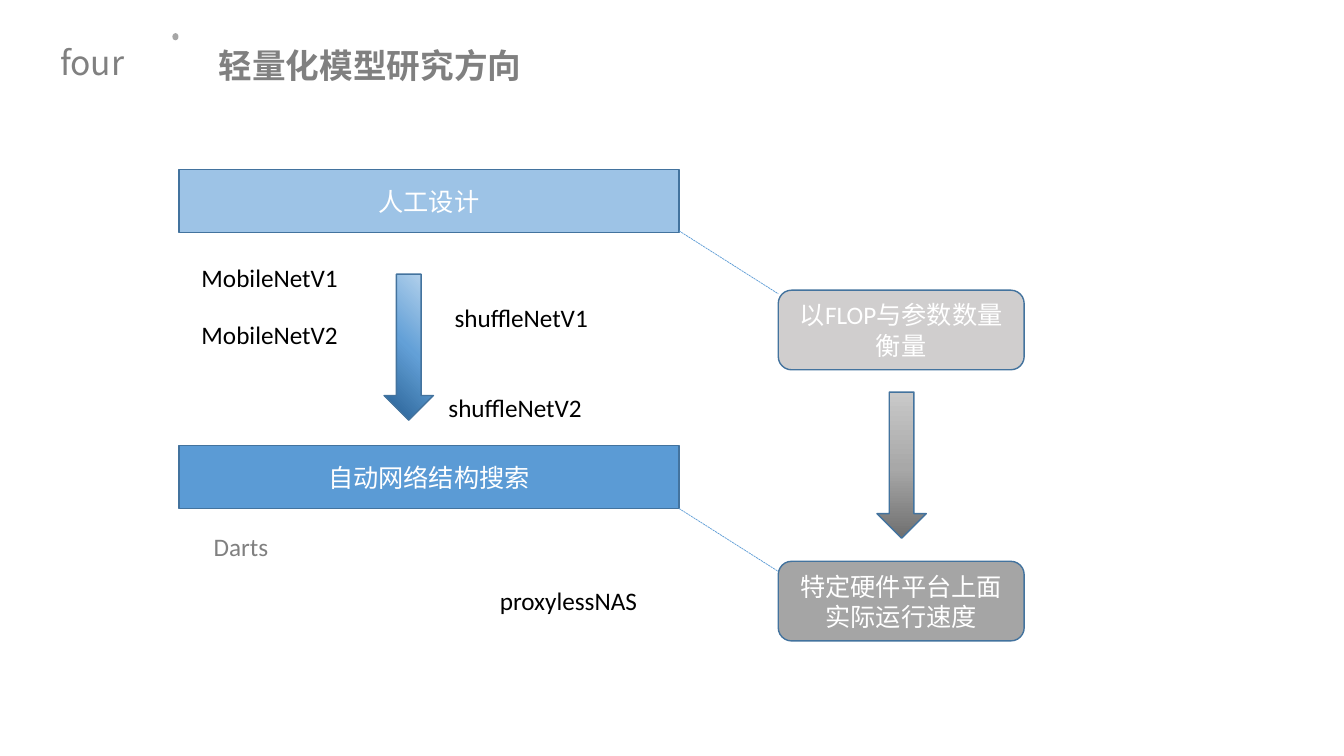
import dataclasses

import lxml.etree
import pptx
import pptx.dml.color
import pptx.enum.dml
import pptx.enum.shapes
import pptx.enum.text
import pptx.oxml
import pptx.oxml.ns
import pptx.util

COLUMNS, ROWS = 64, 36
SHAPE = pptx.enum.shapes.MSO_SHAPE
ALIGN = pptx.enum.text.PP_ALIGN
ANCHOR = pptx.enum.text.MSO_ANCHOR
AUTO_SIZE = pptx.enum.text.MSO_AUTO_SIZE


@dataclasses.dataclass(frozen=True)
class Theme:
    latin: str = "Calibri"
    east_asian: str = "Noto Sans CJK SC"
    heading_size: int = 24
    body_size: int = 18
    muted: str = "808080"
    text: str = "000000"
    inverse: str = "FFFFFF"
    dot: str = "A6A6A6"
    outline: str = "43739E"
    link: str = "5B9BD5"
    manual: str = "9DC3E6"
    automatic: str = "5B9BD5"
    count: str = "D0CECE"
    speed: str = "A5A5A5"
    blue_stops: tuple = ((0, "BDD7EE"), (50, "63A0D7"), (100, "255E91"))
    grey_stops: tuple = ((0, "6F6F6F"), (48, "A8A8A8"), (100, "C9C9C9"))


THEME = Theme()
FROM_TOP_RIGHT = '<a:path path="circle"><a:fillToRect l="100000" b="100000"/></a:path>'
FROM_BOTTOM = '<a:lin ang="16200000" scaled="0"/>'


@dataclasses.dataclass(frozen=True)
class Box:
    """A rectangle counted in columns and rows of the slide grid."""
    left: float
    top: float
    width: float
    height: float

    def inner(self, left, top, width, height):
        return Box(self.left + left, self.top + top, width, height)

    def lengths(self):
        column = pptx.util.Inches(13.33) / COLUMNS
        row = pptx.util.Inches(7.5) / ROWS
        return [round(value) for value in (self.left * column, self.top * row,
                                           self.width * column, self.height * row)]


def rgb(color):
    return pptx.dml.color.RGBColor.from_string(color)


def add_run(paragraph, text, color, size=THEME.body_size, font=THEME.latin, bold=False):
    run = paragraph.add_run()
    run.text = text
    run.font.name, run.font.size, run.font.bold = font, pptx.util.Pt(size), bold
    run.font.color.rgb = rgb(color)
    east_asian = lxml.etree.SubElement(run.font._element, pptx.oxml.ns.qn("a:ea"))
    east_asian.set("typeface", THEME.east_asian)


def add_label(slide, box, text, color=THEME.text, wrap=True, align=ALIGN.LEFT, **style):
    shape = slide.shapes.add_textbox(*box.lengths())
    frame = shape.text_frame
    frame.word_wrap = wrap
    frame.auto_size = AUTO_SIZE.SHAPE_TO_FIT_TEXT
    frame.paragraphs[0].alignment = align
    add_run(frame.paragraphs[0], text, color, **style)
    return shape


def add_block(slide, kind, box, fill, lines=()):
    """Outlined shape with one centred paragraph for each line."""
    shape = slide.shapes.add_shape(kind, *box.lengths())
    shape.shadow.inherit = False
    shape.fill.solid()
    shape.fill.fore_color.rgb = rgb(fill)
    shape.line.color.rgb = rgb(THEME.outline)
    shape.line.width = pptx.util.Pt(1)
    frame = shape.text_frame
    frame.word_wrap = True
    frame.vertical_anchor = ANCHOR.MIDDLE
    for index, line in enumerate(lines):
        paragraph = frame.add_paragraph() if index else frame.paragraphs[0]
        paragraph.alignment = ALIGN.CENTER
        add_run(paragraph, line, THEME.inverse)
    return shape


def add_gradient_arrow(slide, box, stops, direction):
    shape = add_block(slide, SHAPE.DOWN_ARROW, box, stops[1][1])
    stop_xml = "".join(f'<a:gs pos="{position * 1000}"><a:srgbClr val="{color}"/></a:gs>'
                       for position, color in stops)
    gradient = pptx.oxml.parse_xml(
        f'<a:gradFill {pptx.oxml.ns.nsdecls("a")} rotWithShape="1">'
        f"<a:gsLst>{stop_xml}</a:gsLst>{direction}</a:gradFill>")
    properties = shape._element.spPr
    properties.replace(properties.find(pptx.oxml.ns.qn("a:solidFill")), gradient)


def add_header(slide, box):
    dot = slide.shapes.add_shape(SHAPE.OVAL, *box.inner(8.21, 1.58, 0.29, 0.34).lengths())
    dot.shadow.inherit = False
    dot.fill.solid()
    dot.fill.fore_color.rgb = rgb(THEME.dot)
    dot.line.fill.background()
    heading = dict(color=THEME.muted, size=THEME.heading_size, font=THEME.east_asian)
    add_label(slide, box.inner(2.3, 1.78, 4.18, 2.4), "four",
              wrap=False, align=ALIGN.CENTER, **heading)
    title = add_label(slide, box.inner(9.12, 1.58, 23.18, 3.26),
                      "轻量化模型研究方向", bold=True, **heading)
    frame = title.text_frame
    frame.auto_size = AUTO_SIZE.NONE
    frame.vertical_anchor = ANCHOR.MIDDLE
    frame.margin_left, frame.margin_right = pptx.util.Inches(0.27), pptx.util.Inches(0.3)
    frame.margin_top = frame.margin_bottom = pptx.util.Inches(0.17)
    frame.paragraphs[0].line_spacing = 0.9


def add_methods(slide, box):
    """Two stages of network design with their example models."""
    stages = (("人工设计", THEME.manual), ("自动网络结构搜索", THEME.automatic))
    for index, (name, fill) in enumerate(stages):
        add_block(slide, SHAPE.RECTANGLE,
                  box.inner(0, 13.15 * index, box.width, 3.02), fill, [name])
    add_gradient_arrow(slide, box.inner(9.77, 4.99, 2.35, 6.96),
                       THEME.blue_stops, FROM_TOP_RIGHT)
    models = (
        ("MobileNetV1", 0.6, 4.18, 9.12, THEME.text, True),
        ("MobileNetV2", 0.6, 6.91, 9.12, THEME.text, True),
        ("shuffleNetV1", 12.65, 6.1, 9.12, THEME.text, True),
        ("shuffleNetV2", 12.36, 10.37, 9.12, THEME.text, True),
        ("Darts", 1.18, 16.99, 3.6, THEME.muted, False),
        ("proxylessNAS", 14.81, 19.58, 7.54, THEME.text, False),
    )
    for name, left, top, width, color, wrap in models:
        add_label(slide, box.inner(left, top, width, 1.92), name, color, wrap)


def add_criteria(slide, box):
    """Measures used at each stage, old above new."""
    criteria = ((["以FLOP与参数数量", "衡量"], THEME.count),
                (["特定硬件平台上面实际运行速度"], THEME.speed))
    for index, (lines, fill) in enumerate(criteria):
        add_block(slide, SHAPE.ROUNDED_RECTANGLE,
                  box.inner(0, 12.91 * index, box.width, 3.79), fill, lines)
    add_gradient_arrow(slide, box.inner(4.7, 4.85, 2.35, 6.96),
                       THEME.grey_stops, FROM_BOTTOM)


def add_links(slide, box):
    """Dashed lines from each stage to its measure."""
    for index in range(2):
        left, top, width, height = box.inner(0, 13.22 * index, box.width, 3).lengths()
        link = slide.shapes.add_connector(pptx.enum.shapes.MSO_CONNECTOR.STRAIGHT,
                                          left, top, left + width, top + height)
        link.line.color.rgb = rgb(THEME.link)
        link.line.width = pptx.util.Pt(0.5)
        link.line.dash_style = pptx.enum.dml.MSO_LINE.SQUARE_DOT
        lxml.etree.SubElement(link._element.spPr, pptx.oxml.ns.qn("a:effectLst"))


def main():
    presentation = pptx.Presentation()
    presentation.slide_width = pptx.util.Inches(13.33)
    presentation.slide_height = pptx.util.Inches(7.5)
    slide = presentation.slides.add_slide(presentation.slide_layouts[6])
    add_header(slide, Box(0, 0, COLUMNS, 6))
    add_methods(slide, Box(8.52, 8.06, 23.81, 22))
    add_criteria(slide, Box(37.06, 13.82, 11.71, 16.7))
    add_links(slide, Box(32.33, 10.99, 4.73, 16.22))
    presentation.save("out.pptx")


if __name__ == "__main__":
    main()
